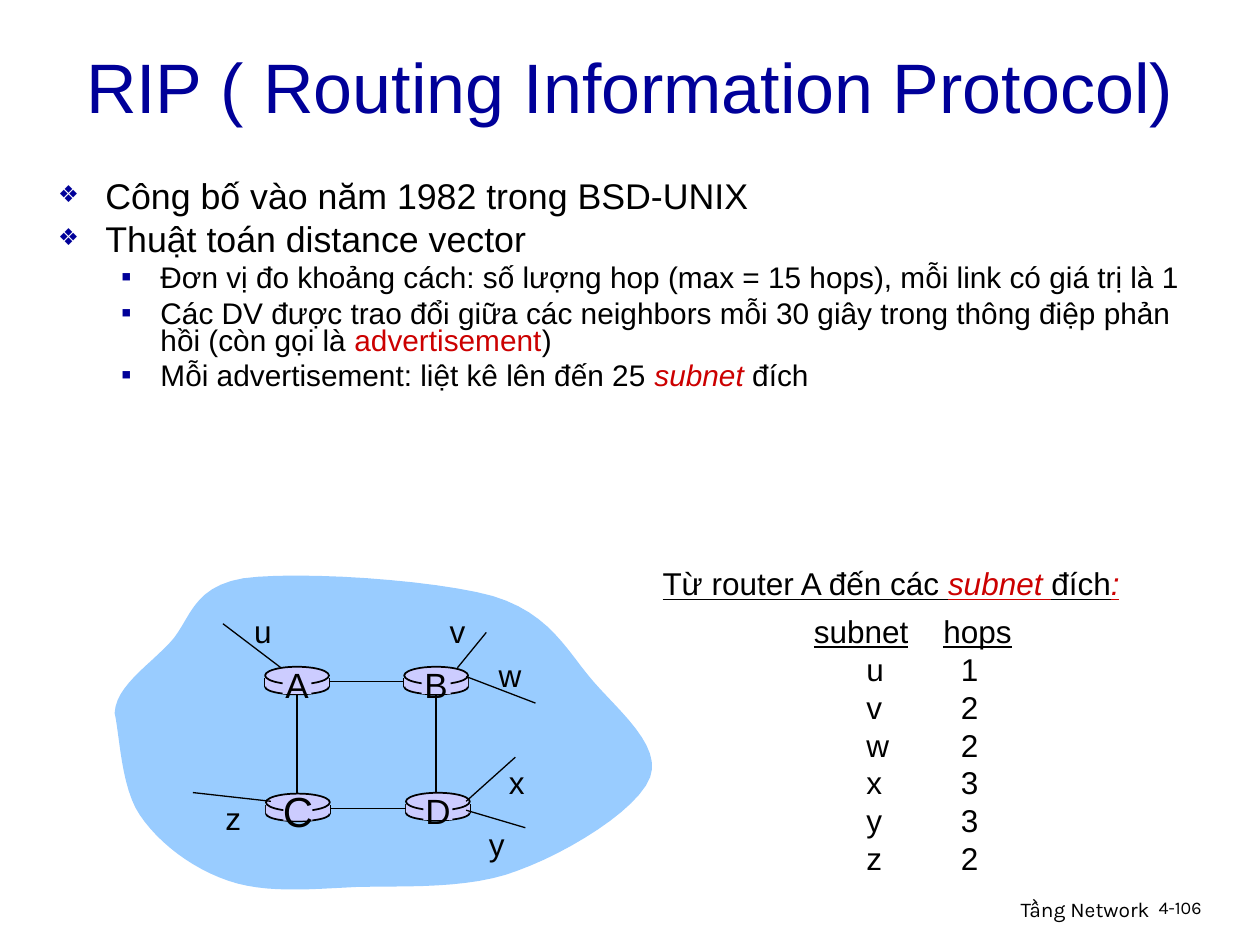
from lxml import etree
from pptx import Presentation
from pptx.dml.color import RGBColor
from pptx.enum.shapes import MSO_CONNECTOR, MSO_SHAPE
from pptx.enum.text import MSO_ANCHOR, MSO_AUTO_SIZE, PP_ALIGN
from pptx.oxml.ns import qn
from pptx.util import Pt

LEFT, CENTER, RIGHT = PP_ALIGN.LEFT, PP_ALIGN.CENTER, PP_ALIGN.RIGHT
ELLIPSE, RECTANGLE = MSO_SHAPE.OVAL, MSO_SHAPE.RECTANGLE
THEME = {
    "navy": "000099", "black": "000000", "red": "CC0000",
    "cloud": "99CCFF", "router": "CCCCFF",
    "title": 40, "list": 20.4, "sublist": 17, "text": 18,
    "router_label": 20, "large_label": 24, "footer": 12, "number": 10.2,
    "font": "Arial", "footer_font": "Karla",
}


def add_line(start, end, width=1):
    line = slide.shapes.add_connector(
        MSO_CONNECTOR.STRAIGHT, *(Pt(v) for v in (*start, *end)))
    line.line.color.rgb = RGBColor.from_string(THEME["black"])
    line.line.width = Pt(width)
    etree.SubElement(line._element.spPr, qn("a:effectLst"))


def write_runs(paragraph, runs, size, color="black", font=THEME["font"]):
    for text, style in runs:
        run = paragraph.add_run()
        run.text = text
        style = {"name": font, "size": Pt(size), "color": color, **style}
        run.font.color.rgb = RGBColor.from_string(THEME[style.pop("color")])
        for key, value in style.items():
            setattr(run.font, key, value)


deck = Presentation()
deck.slide_width, deck.slide_height = Pt(720), Pt(540)
slide = deck.slides.add_slide(deck.slide_layouts[1])

# Title and list placeholders
title, body = slide.placeholders
for holder, box, anchor in ((title, (42, 12, 644, 74), MSO_ANCHOR.MIDDLE),
                            (body, (26, 101.5, 660, 133), MSO_ANCHOR.TOP)):
    holder.left, holder.top, holder.width, holder.height = map(Pt, box)
    frame = holder.text_frame
    frame.word_wrap = True
    frame.auto_size = MSO_AUTO_SIZE.NONE
    frame.vertical_anchor = anchor
title_line = title.text_frame.paragraphs[0]
title_line.alignment = LEFT
write_runs(title_line, [("RIP ( Routing Information Protocol)", {})],
           THEME["title"], "navy")

# Bulleted list
RED = {"color": "red"}
RED_ITALIC = {"color": "red", "italic": True}
LEVELS = [
    {"size": THEME["list"], "margin": 27, "hang": 27, "before": 6,
     "bullet": "❖", "scale": 65},
    {"size": THEME["sublist"], "margin": 58.5, "hang": 22.5, "before": 5,
     "bullet": "▪", "scale": 100},
]
points = [
    (0, [("Công bố vào năm 1982 trong BSD-UNIX", {})]),
    (0, [("Thuật toán distance vector", {})]),
    (1, [("Đơn vị đo khoảng cách: số lượng hop (max = 15 hops), "
          "mỗi link có giá trị là 1", {})]),
    (1, [("Các DV được trao đổi giữa các neighbors mỗi 30 giây trong "
          "thông điệp phản hồi (còn gọi là ", {}),
         ("advertisement", RED), (")", {})]),
    (1, [("Mỗi advertisement: liệt kê lên đến 25 ", {}),
         ("subnet ", RED_ITALIC), ("đích", {})]),
]
for index, (depth, runs) in enumerate(points):
    frame = body.text_frame
    point = frame.add_paragraph() if index else frame.paragraphs[0]
    look = LEVELS[depth]
    props = point._p.get_or_add_pPr()
    props.set("marL", str(Pt(look["margin"])))
    props.set("indent", str(-Pt(look["hang"])))
    bullet_color = etree.SubElement(props, qn("a:buClr"))
    etree.SubElement(bullet_color, qn("a:srgbClr"), val=THEME["navy"])
    etree.SubElement(props, qn("a:buSzPct"), val=str(look["scale"] * 1000))
    etree.SubElement(props, qn("a:buChar"), char=look["bullet"])
    for key, value in {"level": depth, "line_spacing": 0.75,
                       "space_before": Pt(look["before"] if index else 0)}.items():
        setattr(point, key, value)
    write_runs(point, runs, look["size"])

# Network cloud, traced along its Bézier curves
cloud_start = (65.5, 407.5)
cloud_curves = [
    ((66.2, 392.4), (84.2, 380.9), (96.5, 367.9)),
    ((108.7, 355.7), (108.7, 335.5), (139, 330.5)),
    ((169.9, 326.2), (247.7, 331.2), (281.5, 340.6)),
    ((314.6, 350.6), (324, 372.2), (339.1, 389.5)),
    ((354.2, 406.8), (378, 426.2), (371.5, 444.2)),
    ((364.3, 463), (324, 487.4), (295.9, 497.5)),
    ((268.6, 508.3), (231.1, 506.2), (203.8, 506.9)),
    ((175.7, 508.3), (151.2, 510.5), (130.3, 503.3)),
    ((109.4, 496.1), (90.7, 481.7), (79.9, 465.8)),
    ((69.1, 450), (68.4, 419.8), cloud_start),
]
STEPS = 12
outline, origin = [], cloud_start
for first, second, end in cloud_curves:
    for step in range(1, STEPS + 1):
        t = step / STEPS
        outline.append(tuple(
            Pt((1 - t) ** 3 * a + 3 * (1 - t) ** 2 * t * b
               + 3 * (1 - t) * t ** 2 * c + t ** 3 * d)
            for a, b, c, d in zip(origin, first, second, end)))
    origin = end
builder = slide.shapes.build_freeform(*(Pt(v) for v in cloud_start))
builder.add_line_segments(outline)
cloud = builder.convert_to_shape()
cloud.shadow.inherit = False
cloud.fill.solid()
cloud.fill.fore_color.rgb = RGBColor.from_string(THEME["cloud"])
cloud.line.fill.background()

# Routers: cylinder parts, then links, then the patches behind the labels
WIDTH = 36.5
routers = {"A": (151.5, 381), "B": (231, 381),
           "C": (152, 453.5), "D": (232, 453)}
BASE = (ELLIPSE, 0, 7.2, WIDTH, 8.6)
WALL = (RECTANGLE, 0, 6.5, WIDTH, 5)
TOP = (ELLIPSE, 0, 0, WIDTH, 10)
PATCH = (RECTANGLE, 10, 1.5, 16.5, 14)
for parts in ((BASE, WALL, TOP), (PATCH,)):
    for x, y in routers.values():
        for kind, dx, dy, width, height in parts:
            part = slide.shapes.add_shape(
                kind, Pt(x + dx), Pt(y + dy), Pt(width), Pt(height))
            part.shadow.inherit = False
            part.fill.solid()
            part.fill.fore_color.rgb = RGBColor.from_string(THEME["router"])
            if kind == ELLIPSE:
                part.line.color.rgb = RGBColor.from_string(THEME["black"])
                part.line.width = Pt(1)
            else:
                part.line.fill.background()
            if (kind, dy) == (ELLIPSE, BASE[2]):
                for side in (x, x + WIDTH):
                    add_line((side, y + 6.5), (side, y + 11.5))
    if PATCH not in parts:
        for west, east in ("AB", "CD"):
            level = routers[west][1] + 8.5
            add_line((routers[west][0] + WIDTH, level), (routers[east][0], level))
        for north, south in ("AC", "BD"):
            middle = routers[north][0] + WIDTH / 2
            add_line((middle, routers[north][1] + 16), (middle, routers[south][1]))

# Subnet lines: start, end and label corner
subnets = {
    "u": ((160.6, 381.6), (127.4, 356.4), (138.2, 346.3)),
    "v": ((261.4, 381.6), (277.9, 361.4), (249.8, 346.3)),
    "w": ((266.4, 386.6), (306, 401.8), (277.9, 371.5)),
    "x": ((266.4, 457.9), (294.5, 432.7), (283.7, 432.7)),
    "y": ((266.4, 463), (300.2, 473), (272.2, 468)),
    "z": ((154.8, 457.9), (110.2, 452.9), (121.7, 452.9)),
}
for start, end, _ in subnets.values():
    add_line(start, end, 0.75)

# All free text: box, paragraphs of (tab stops, runs), size, alignment, font
ARIAL, KARLA = THEME["font"], THEME["footer_font"]
UNDER = {"underline": True}
hops = {"u": "1", "v": "2", "w": "2", "x": "3", "y": "3", "z": "2"}
hop_rows = [((74,), [("subnet", UNDER), ("\t", {}), ("hops", UNDER)])]
hop_rows += [((30, 84), [(f"\t{name}\t{count}", {})])
             for name, count in hops.items()]
heading = [("Từ router A đến các ", UNDER), ("subnet ", {**UNDER, **RED_ITALIC}),
           ("đích", UNDER), (":", {**UNDER, **RED_ITALIC})]
texts = [
    ((458, 346.3, 140, 173), hop_rows, THEME["text"], LEFT, ARIAL),
    ((371.5, 319, 290, 29), [((), heading)], THEME["text"], LEFT, ARIAL),
    ((435.5, 509, 228.5, 22), [((), [("Tầng Network", {})])],
     THEME["footer"], RIGHT, KARLA),
    ((655, 509, 53.5, 21.5), [((), [("4-106", {})])],
     THEME["number"], LEFT, KARLA),
]
for name, (x, y) in routers.items():
    size = THEME["large_label" if name == "C" else "router_label"]
    height = size * 1.2 + 7.2
    texts.append(((x + WIDTH / 2 - 17, y + 10 - height / 2, 34, height),
                  [((), [(name, {})])], size, CENTER, ARIAL))
for name, (_, _, corner) in subnets.items():
    texts.append(((*corner, 29, 29), [((), [(name, {})])],
                  THEME["text"], LEFT, ARIAL))

for box, lines, size, alignment, font in texts:
    frame = slide.shapes.add_textbox(*(Pt(v) for v in box)).text_frame
    frame.word_wrap = True
    for index, (stops, runs) in enumerate(lines):
        line = frame.add_paragraph() if index else frame.paragraphs[0]
        line.alignment = alignment
        if stops:
            tabs = etree.SubElement(line._p.get_or_add_pPr(), qn("a:tabLst"))
            for stop in stops:
                etree.SubElement(tabs, qn("a:tab"), pos=str(Pt(stop)), algn="l")
        write_runs(line, runs, size, font=font)

deck.save("out.pptx")
